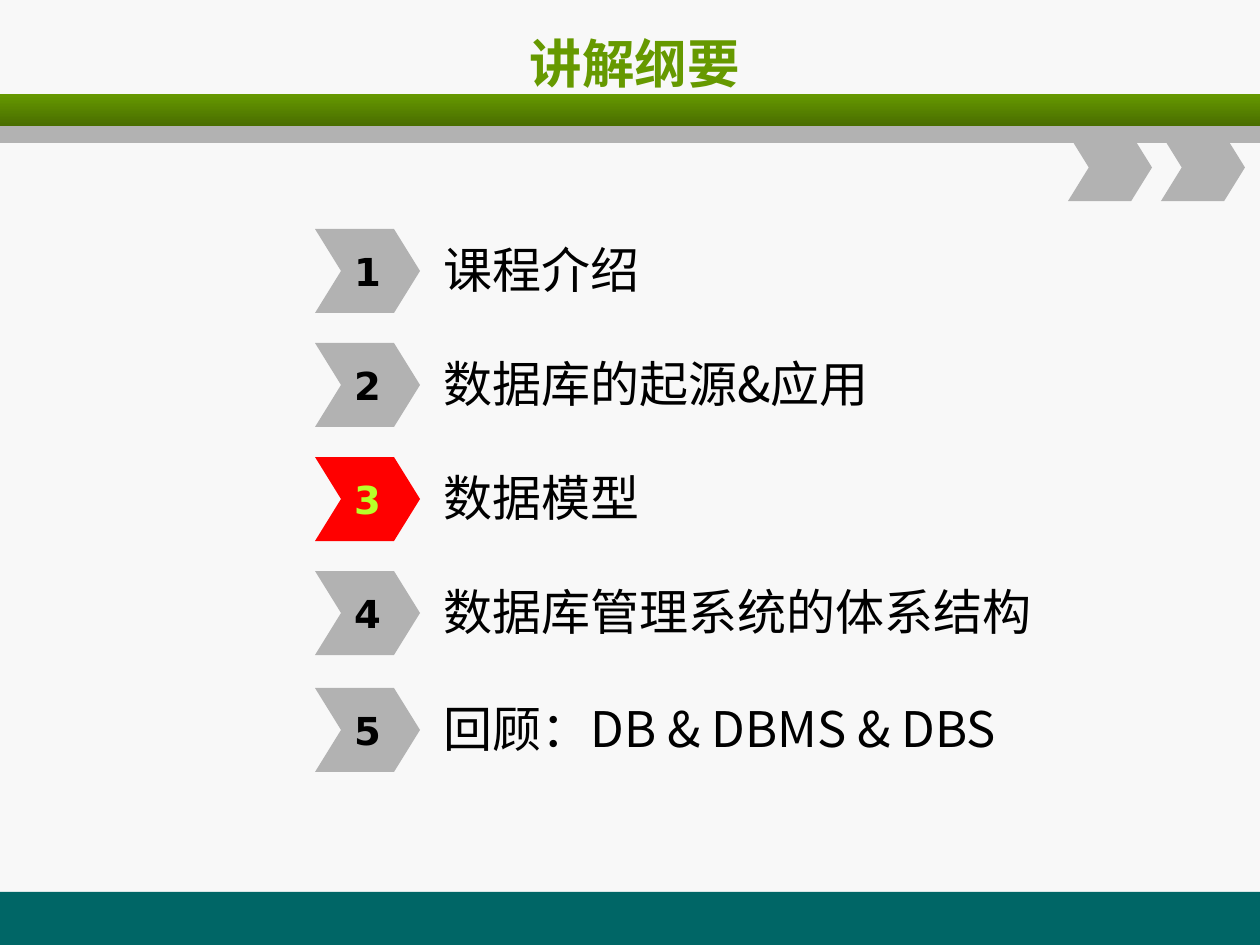
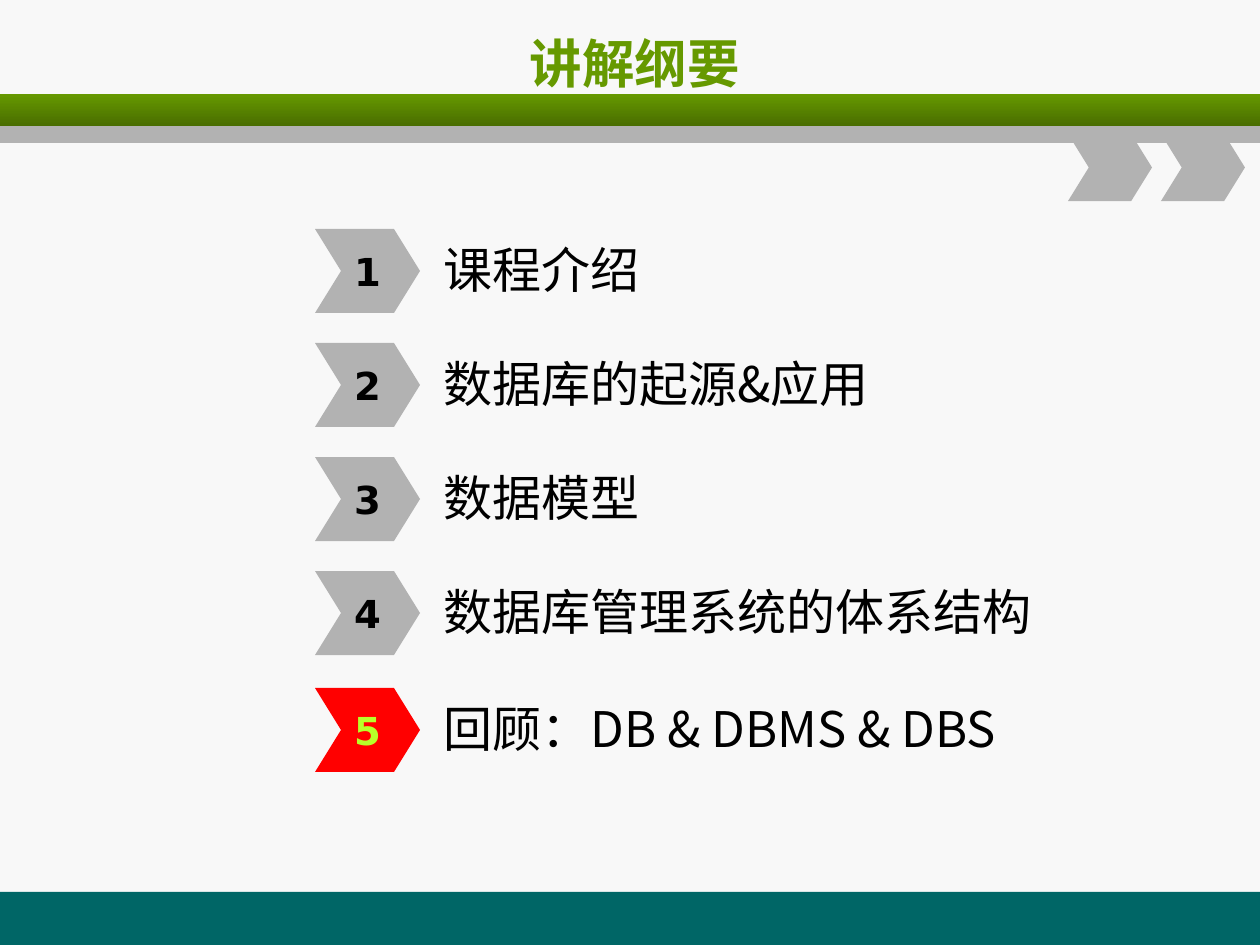
"""Build two outline slides, each with its current topic highlighted."""
from pptx import Presentation
from pptx.dml.color import RGBColor
from pptx.enum.shapes import MSO_SHAPE as Shape
from pptx.enum.text import MSO_ANCHOR as Anchor, PP_ALIGN as Align
from pptx.oxml.ns import qn
from pptx.util import Emu, Pt

TITLE = "讲解纲要"
TOPICS = [
    (229, "课程介绍"),
    (343, "数据库的起源&应用"),
    (457, "数据模型"),
    (571, "数据库管理系统的体系结构"),
    (688, "回顾：DB & DBMS & DBS"),
]
CURRENT_TOPICS = [3, 5]

BACKGROUND, GREEN, DARK_GREEN, GREY, TEAL = "F8F8F8", "669900", "496D00", "B2B2B2", "006666"
BLACK, RED, LIME = "000000", "FF0000", "B8FF29"
TITLE_FONT, TOPIC_FONT, NUMBER_FONT = "Noto Sans CJK SC", "Noto Sans CJK JP", "DejaVu Sans"

WIDTH, HEIGHT = 1260, 945
FOOTER_HEIGHT = 53
CORNER_LEFT, CORNER_PITCH = 1068, 93
MARKER_LEFT, MARKER_WIDTH, MARKER_HEIGHT = 315, 105, 84
LABEL_OFFSET, LABEL_INSET = 3, 24


def px(length):
    return Emu(round(length * 914400 / 126))


def color(value):
    return RGBColor.from_string(value)


def add_shape(slide, kind, box, fill, adjustment=None):
    shape = slide.shapes.add_shape(kind, *map(px, box))
    shape.shadow.inherit = False
    shape.fill.solid()
    shape.fill.fore_color.rgb = color(fill)
    shape.line.fill.background()
    if adjustment is not None:
        shape.adjustments[0] = adjustment
    return shape


def write(shape, text, size, font_name, text_color, align=Align.CENTER, bold=True, wrap=True):
    frame = shape.text_frame
    frame.word_wrap = wrap
    frame.vertical_anchor = Anchor.MIDDLE
    paragraph = frame.paragraphs[0]
    paragraph.alignment = align
    run = paragraph.add_run()
    run.text = text
    font = run.font
    font.size, font.bold, font.name = Pt(size), bold, font_name
    font.color.rgb = color(text_color)
    properties = run._r.get_or_add_rPr()
    east_asian = properties.makeelement(qn("a:ea"), {"typeface": font_name})
    properties.find(qn("a:latin")).addnext(east_asian)


def add_text(slide, box, *args, **kwargs):
    text_box = slide.shapes.add_textbox(*map(px, box))
    write(text_box, *args, **kwargs)
    return text_box


def decorate_layout(layout, slide):
    layout.background.fill.solid()
    layout.background.fill.fore_color.rgb = color(BACKGROUND)
    for placeholder in list(layout.placeholders):
        layout.shapes.element.remove(placeholder.element)

    footer = add_shape(slide, Shape.RECTANGLE, (0, HEIGHT - FOOTER_HEIGHT, WIDTH, FOOTER_HEIGHT), TEAL)
    green_band = add_shape(slide, Shape.RECTANGLE, (0, 94, WIDTH, 32), GREEN)
    green_band.fill.gradient()
    green_band.fill.gradient_angle = 270
    for stop, value in zip(green_band.fill.gradient_stops, (GREEN, DARK_GREEN)):
        stop.color.rgb = color(value)
    for position, stop in enumerate(green_band.fill.gradient_stops):
        stop.position = position
    grey_band = add_shape(slide, Shape.RECTANGLE, (0, 126, WIDTH, 17), GREY)
    corners = [
        add_shape(slide, Shape.CHEVRON, (CORNER_LEFT + i * CORNER_PITCH, 134, 84, 67), GREY, 0.31)
        for i in range(2)
    ]
    for shape in (footer, green_band, grey_band, *corners):
        layout.shapes.element.append(shape.element)


def add_outline(slide, current):
    add_text(slide, (68, 21, 1134, 84), TITLE, 30, TITLE_FONT, GREEN)
    for number, (top, topic) in enumerate(TOPICS, 1):
        fill, number_color = (RED, LIME) if number == current else (GREY, BLACK)
        label = add_text(slide, (MARKER_LEFT + MARKER_WIDTH, top + LABEL_OFFSET, 746, 73),
                         topic, 28, TOPIC_FONT, BLACK, Align.LEFT, bold=False)
        label.text_frame.margin_left = px(LABEL_INSET)
        marker = add_shape(slide, Shape.CHEVRON, (MARKER_LEFT, top, MARKER_WIDTH, MARKER_HEIGHT), fill, 0.31)
        write(marker, str(number), 22, NUMBER_FONT, number_color, wrap=False)


def main():
    presentation = Presentation()
    presentation.slide_width, presentation.slide_height = px(WIDTH), px(HEIGHT)
    layout = presentation.slide_layouts[6]
    slides = [presentation.slides.add_slide(layout) for _ in CURRENT_TOPICS]
    decorate_layout(layout, slides[0])
    for slide, current in zip(slides, CURRENT_TOPICS):
        add_outline(slide, current)
    presentation.save("out.pptx")


if __name__ == "__main__":
    main()
